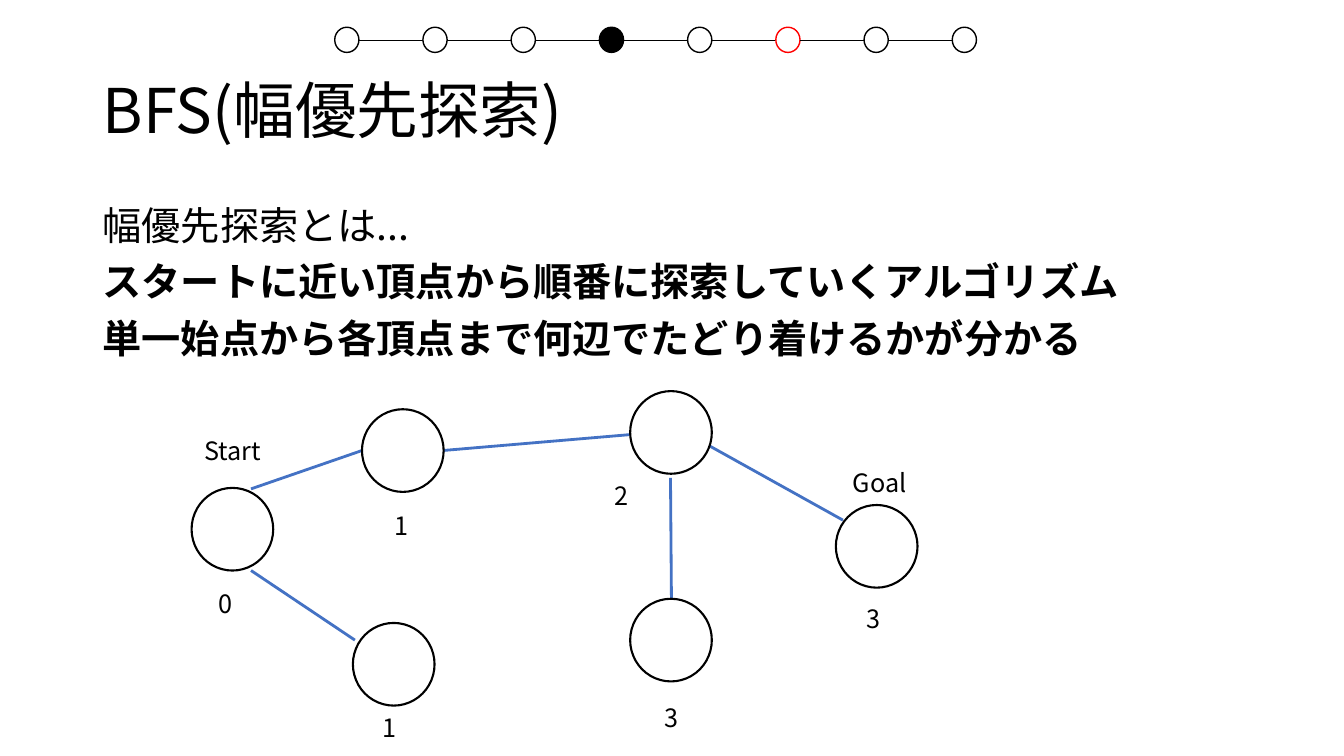
from lxml.etree import SubElement
from pptx import Presentation
from pptx.dml.color import RGBColor
from pptx.enum.shapes import MSO_CONNECTOR as CONN, MSO_SHAPE as SHAPE
from pptx.enum.text import MSO_ANCHOR as ANCHOR, PP_ALIGN as ALIGN
from pptx.oxml.ns import qn
from pptx.util import Inches, Pt

FONT = "Noto Sans CJK JP"
BLACK, WHITE, RED, BLUE = "000000", "FFFFFF", "FF0000", "4472C4"

DOT_COUNT, DOT_LEFT, DOT_TOP, DOT_PITCH = 8, 3.32, 0.27, 0.875
DOT_W, DOT_H = 0.24, 0.25
DOT_FILLS = {3: BLACK}
DOT_LINES = {5: RED}

NODE_W, NODE_H = 0.81, 0.82
NODES = [(3.59, 4.06), (6.25, 3.88), (3.5, 6.18), (1.9, 4.84), (8.29, 5.01), (6.25, 5.94)]
EDGES = [
    (2.49, 4.85, 3.59, 4.47),
    (4.39, 4.47, 6.27, 4.31),
    (6.66, 6, 6.65, 4.74),
    (2.49, 5.66, 3.52, 6.35),
    (7.03, 4.42, 8.36, 5.16),
]
DISTANCES = [
    ("0", 1.94, 5.77, 0.59, 0.43),
    ("1", 3.54, 7.02, 0.65, 0.4),
    ("1", 3.73, 5.02, 0.51, 0.39),
    ("2", 5.91, 4.72, 0.51, 0.39),
    ("3", 6.4, 6.92, 0.51, 0.39),
    ("3", 8.41, 5.94, 0.51, 0.39),
]


def rgb(color):
    return RGBColor.from_string(color)


def write(p, text, size=18, bold=False, align=None, spacing=None, before=None):
    p.alignment = align
    p.line_spacing = spacing
    p.space_before = before
    r = p.add_run()
    r.text = text
    r.font.size = Pt(size)
    r.font.bold = bold
    r.font.color.rgb = rgb(BLACK)
    r.font.name = FONT
    SubElement(r._r.get_or_add_rPr(), qn("a:ea")).set("typeface", FONT)


def add_text(s, box, lines, anchor=ANCHOR.TOP, wrap=True, **fmt):
    tf = s.shapes.add_textbox(*map(Inches, box)).text_frame
    tf.word_wrap = wrap
    tf.vertical_anchor = anchor
    for i, (text, bold) in enumerate(lines):
        p = tf.add_paragraph() if i else tf.paragraphs[0]
        write(p, text, bold=bold, **fmt)


def add_shape(s, kind, box, fill=WHITE, line=BLACK, width=1):
    sp = s.shapes.add_shape(kind, *map(Inches, box))
    sp.shadow.inherit = False
    sp.fill.solid()
    sp.fill.fore_color.rgb = rgb(fill)
    sp.line.color.rgb = rgb(line)
    sp.line.width = Pt(width)
    return sp


def add_line(s, ends, color, width):
    line = s.shapes.add_connector(CONN.STRAIGHT, *map(Inches, ends))
    line.line.color.rgb = rgb(color)
    line.line.width = Pt(width)
    SubElement(line._element.spPr, qn("a:effectLst"))


def add_progress(s):
    y = 0.4
    for i in range(DOT_COUNT):
        x = DOT_LEFT + i * DOT_PITCH
        if i:
            add_line(s, (x - DOT_PITCH + DOT_W, y, x, y), BLACK, 0.5)
        add_shape(s, SHAPE.OVAL, (x, DOT_TOP, DOT_W, DOT_H),
                  fill=DOT_FILLS.get(i, WHITE), line=DOT_LINES.get(i, BLACK))


def add_distance(s, text, *box):
    tf = add_shape(s, SHAPE.RECTANGLE, box, line=WHITE).text_frame
    tf.vertical_anchor = ANCHOR.MIDDLE
    write(tf.paragraphs[0], text, align=ALIGN.CENTER)


def add_graph(s):
    for ends in EDGES:
        add_line(s, ends, BLUE, 2)
    add_text(s, (1.93, 4.27, 0.77, 0.4), [("Start", False)], wrap=False)
    add_text(s, (8.36, 4.59, 0.73, 0.4), [("Goal", False)], wrap=False)
    for x, y in NODES:
        add_shape(s, SHAPE.OVAL, (x, y, NODE_W, NODE_H), width=1.5)
    for distance in DISTANCES:
        add_distance(s, *distance)


def main():
    prs = Presentation()
    prs.slide_width, prs.slide_height = Inches(13.33), Inches(7.5)
    s = prs.slides.add_slide(prs.slide_layouts[6])
    add_text(s, (0.92, 0.4, 11.5, 1.45), [("BFS(幅優先探索)", False)],
             anchor=ANCHOR.MIDDLE, size=44, spacing=0.9)
    add_text(s, (0.92, 2, 11.5, 1.77), [
        ("幅優先探索とは...", False),
        ("スタートに近い頂点から順番に探索していくアルゴリズム", True),
        ("単一始点から各頂点まで何辺でたどり着けるかが分かる", True),
    ], size=28, spacing=0.9, before=Pt(10))
    add_progress(s)
    add_graph(s)
    prs.save("out.pptx")


if __name__ == "__main__":
    main()
